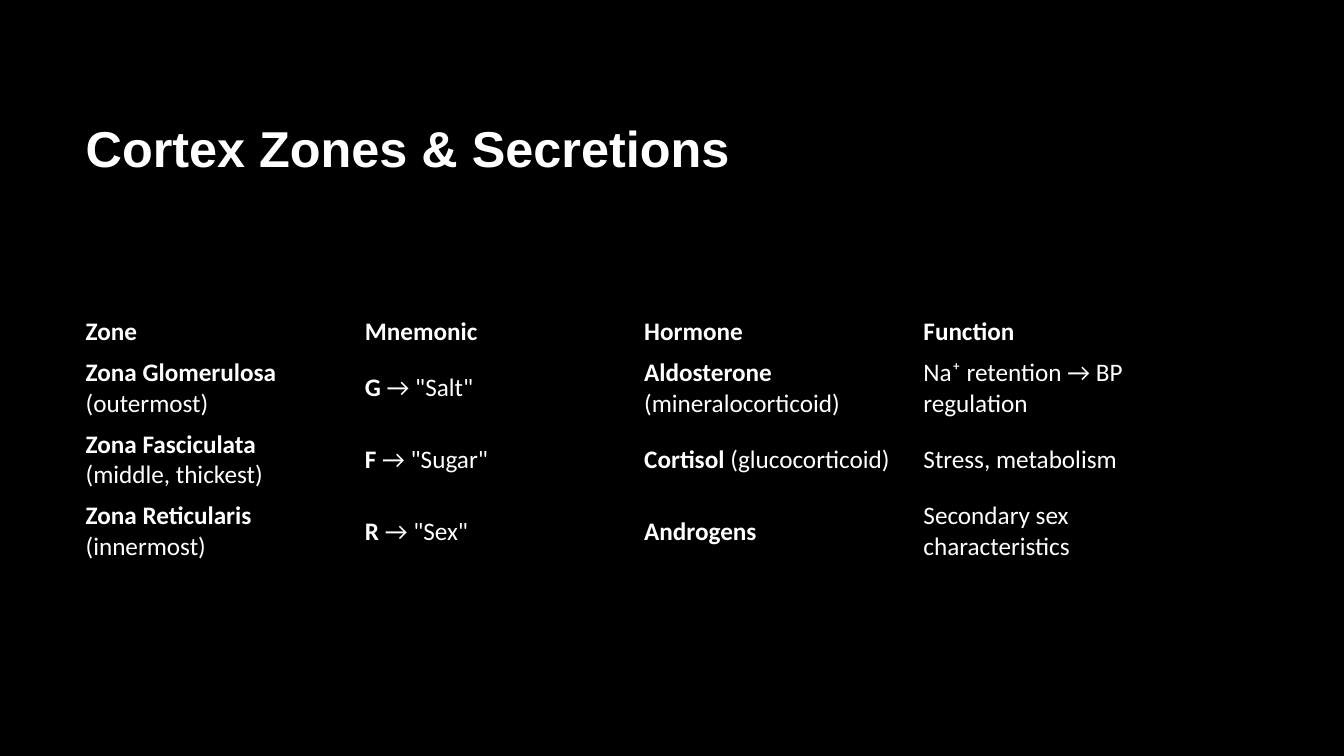
from pptx import Presentation
from pptx.dml.color import RGBColor
from pptx.enum.text import MSO_ANCHOR as Anchor, PP_ALIGN as Align
from pptx.oxml.ns import qn
from pptx.util import Pt

NO_GRID = "{2D5ABB26-0587-4C30-8999-92F81FD0307C}"
HEADERS = ("Zone", "Mnemonic", "Hormone", "Function")
ZONES = (
    (("Zona Glomerulosa", " (outermost)"), ("G", ' → "Salt"'),
     ("Aldosterone", " (mineralocorticoid)"), ("", "Na⁺ retention → BP regulation")),
    (("Zona Fasciculata", " (middle, thickest)"), ("F", ' → "Sugar"'),
     ("Cortisol", " (glucocorticoid)"), ("", "Stress, metabolism")),
    (("Zona Reticularis", " (innermost)"), ("R", ' → "Sex"'),
     ("Androgens", ""), ("", "Secondary sex characteristics")),
)


def color(hex_text):
    """Return the colour for a hex string."""
    return RGBColor.from_string(hex_text)


def add_text(p, text, font="Calibri", size=18, bold=False, fill="FFFFFF"):
    """Add a formatted run to a paragraph."""
    r = p.add_run()
    r.text = text
    r.font.name, r.font.size, r.font.bold = font, Pt(size), bold
    r.font.color.rgb = color(fill)


def add_title(s, text, x, y, w, h):
    """Place the title placeholder in the given box."""
    sp = s.shapes.title
    sp.left, sp.top, sp.width, sp.height = Pt(x), Pt(y), Pt(w), Pt(h)
    tf = sp.text_frame
    tf.vertical_anchor = Anchor.MIDDLE
    p = tf.paragraphs[0]
    p.alignment = Align.LEFT
    add_text(p, text, font="Arial", size=36, bold=True)


def add_zone_table(s, x, y, w, header_h, row_h):
    """Place the table of cortex zones with equal columns."""
    rows = [[(header, "") for header in HEADERS], *ZONES]
    heights = [header_h] + [row_h] * len(ZONES)
    frame = s.shapes.add_table(len(rows), len(HEADERS), Pt(x), Pt(y), Pt(w), Pt(sum(heights)))
    table = frame.table
    table.horz_banding = False
    table._tbl.tblPr.find(qn("a:tableStyleId")).text = NO_GRID
    for col in table.columns:
        col.width = Pt(w / len(HEADERS))
    for i, (row, height) in enumerate(zip(rows, heights)):
        table.rows[i].height = Pt(height)
        for j, (lead, rest) in enumerate(row):
            cell = table.cell(i, j)
            cell.fill.background()
            cell.vertical_anchor = Anchor.MIDDLE
            p = cell.text_frame.paragraphs[0]
            for text, bold in ((lead, True), (rest, False)):
                if text:
                    add_text(p, text, bold=bold)


def main():
    """Build and save the slide."""
    prs = Presentation()
    prs.slide_width, prs.slide_height = Pt(960), Pt(540)
    s = prs.slides.add_slide(prs.slide_layouts[5])
    s.background.fill.solid()
    s.background.fill.fore_color.rgb = color("000000")
    add_title(s, "Cortex Zones & Secretions", 54, 48, 798, 114.5)
    add_zone_table(s, 54, 222.5, 798, 29.2, 51.1)
    prs.save("out.pptx")


if __name__ == "__main__":
    main()
